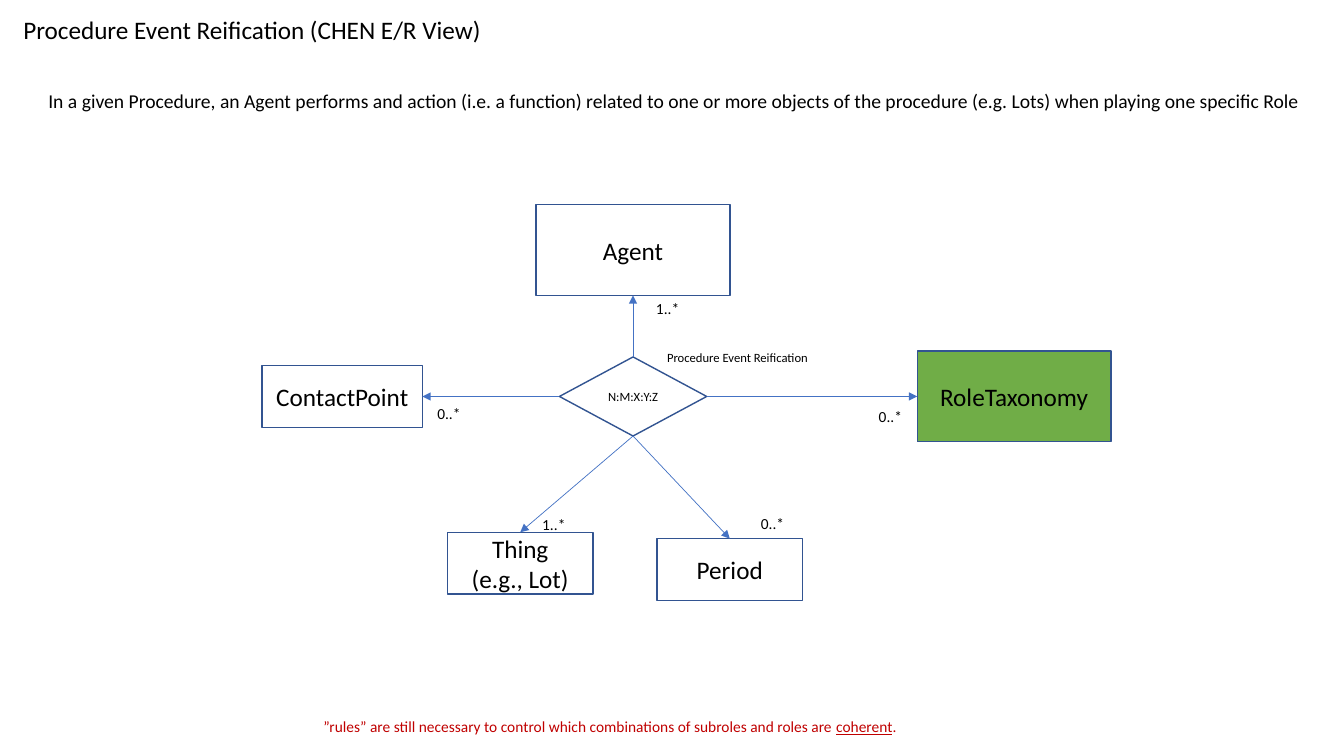
"""Build the Procedure Event Reification entity/relationship slide."""
from dataclasses import dataclass

from lxml import etree
from pptx import Presentation
from pptx.dml.color import RGBColor
from pptx.enum.shapes import MSO_CONNECTOR, MSO_SHAPE
from pptx.enum.text import MSO_ANCHOR, MSO_AUTO_SIZE, PP_ALIGN
from pptx.oxml.ns import qn
from pptx.shapes.autoshape import Shape
from pptx.slide import Slide
from pptx.text.text import TextFrame
from pptx.util import Pt

RECT, DIAMOND = MSO_SHAPE.RECTANGLE, MSO_SHAPE.DIAMOND
STRAIGHT = MSO_CONNECTOR.STRAIGHT
TOP, MIDDLE = MSO_ANCHOR.TOP, MSO_ANCHOR.MIDDLE
LEFT, CENTER = PP_ALIGN.LEFT, PP_ALIGN.CENTER
GROW = MSO_AUTO_SIZE.SHAPE_TO_FIT_TEXT
UP, WEST, DOWN, EAST = range(4)
FONT = "Calibri"
BLACK, RED, GREEN = "000000", "C00000", "70AD47"
EDGE, ARROW = "325491", "4472C4"


@dataclass
class Node:
    text: str
    left: float
    top: float
    width: float
    height: float
    fill: str = ""
    size: float = 18
    kind: MSO_SHAPE = RECT


@dataclass
class Label:
    text: str
    left: float
    top: float
    width: float = 31.7
    height: float = 20.6
    size: float = 11
    color: str = BLACK


@dataclass
class Link:
    start: int
    goal: str
    end: int


HUB = Node("N:M:X:Y:Z", 399.6, 254.95, 105.2, 56.5, size=9, kind=DIAMOND)
NODES = [
    Node("Agent", 383, 146.2, 138.4, 64.8),
    Node("Thing\n(e.g., Lot)", 319.7, 380.2, 103.8, 44.2),
    Node("RoleTaxonomy", 655.2, 250.8, 138.4, 64.8, GREEN),
    Node("ContactPoint", 187.2, 261.1, 114.5, 44.2),
    Node("Period", 469.4, 384.8, 103.8, 44.2),
]
LINKS = [
    Link(UP, "Agent", DOWN),
    Link(DOWN, "Thing\n(e.g., Lot)", UP),
    Link(EAST, "RoleTaxonomy", WEST),
    Link(WEST, "ContactPoint", EAST),
    Link(DOWN, "Period", UP),
]
TITLE = Label("Procedure Event Reification (CHEN E/R View)", 9.4, 6.5, 352.8, 29, 18)
RULES = Label(
    "”rules” are still necessary to control which combinations of subroles and roles are ",
    223.9, 509, 427, color=RED)
LABELS = [
    Label("1..*", 380.2, 364.3),
    Label("0..*", 620.6, 287.3),
    Label("1..*", 461.5, 210.2),
    Label("0..*", 305.3, 285.1),
    Label("0..*", 536.4, 363.6),
    Label("Procedure Event Reification", 469.4, 246.2, 117.4, 18, 9),
    Label("In a given Procedure, an Agent performs and action (i.e. a function) "
          "related to one or more objects of the procedure (e.g. Lots) "
          "when playing one specific Role", 27.4, 59.8, 916.6, 24.5, 14),
]


def rgb(code: str) -> RGBColor:
    return RGBColor.from_string(code)


def style(frame: TextFrame, size: float, color: str, align: PP_ALIGN) -> None:
    for para in frame.paragraphs:
        para.alignment = align
        para.font.name = FONT
        para.font.size = Pt(size)
        para.font.color.rgb = rgb(color)


def draw_node(slide: Slide, node: Node) -> Shape:
    shape = slide.shapes.add_shape(
        node.kind, Pt(node.left), Pt(node.top), Pt(node.width), Pt(node.height))
    shape.shadow.inherit = False
    if node.fill:
        shape.fill.solid()
        shape.fill.fore_color.rgb = rgb(node.fill)
    else:
        shape.fill.background()
    shape.line.color.rgb = rgb(EDGE)
    shape.line.width = Pt(1)
    frame = shape.text_frame
    frame.text = node.text
    frame.word_wrap = True
    frame.vertical_anchor = MIDDLE
    frame.margin_left = frame.margin_right = 0
    frame.margin_top = frame.margin_bottom = 0
    style(frame, node.size, BLACK, CENTER)
    return shape


def draw_link(slide: Slide, hub: Shape, goal: Shape, link: Link) -> None:
    line = slide.shapes.add_connector(STRAIGHT, 0, 0, 0, 0)
    line.begin_connect(hub, link.start)
    line.end_connect(goal, link.end)
    line.line.color.rgb = rgb(ARROW)
    line.line.width = Pt(0.5)
    etree.SubElement(line.line._get_or_add_ln(), qn("a:tailEnd"), type="triangle")
    etree.SubElement(line._element.spPr, qn("a:effectLst"))


def set_label(shape: Shape, label: Label) -> None:
    shape.left, shape.top = Pt(label.left), Pt(label.top)
    shape.width, shape.height = Pt(label.width), Pt(label.height)
    frame = shape.text_frame
    frame.text = label.text
    frame.word_wrap = False
    frame.auto_size = GROW
    frame.vertical_anchor = TOP
    style(frame, label.size, label.color, LEFT)


def add_label(slide: Slide, label: Label) -> Shape:
    shape = slide.shapes.add_textbox(0, 0, 0, 0)
    set_label(shape, label)
    return shape


def main() -> None:
    deck = Presentation()
    deck.slide_width, deck.slide_height = Pt(960), Pt(540)
    slide = deck.slides.add_slide(deck.slide_layouts[5])
    set_label(slide.shapes.title, TITLE)
    slide.shapes.title.text_frame.paragraphs[0].line_spacing = 1.0

    hub = draw_node(slide, HUB)
    goals = {node.text: draw_node(slide, node) for node in NODES}
    for link in LINKS:
        draw_link(slide, hub, goals[link.goal], link)
    for label in LABELS:
        add_label(slide, label)

    rules = add_label(slide, RULES).text_frame.paragraphs[0]
    word = rules.add_run()
    word.text = "coherent"
    word.font.underline = True
    rules.add_run().text = "."
    deck.save("out.pptx")


if __name__ == "__main__":
    main()
